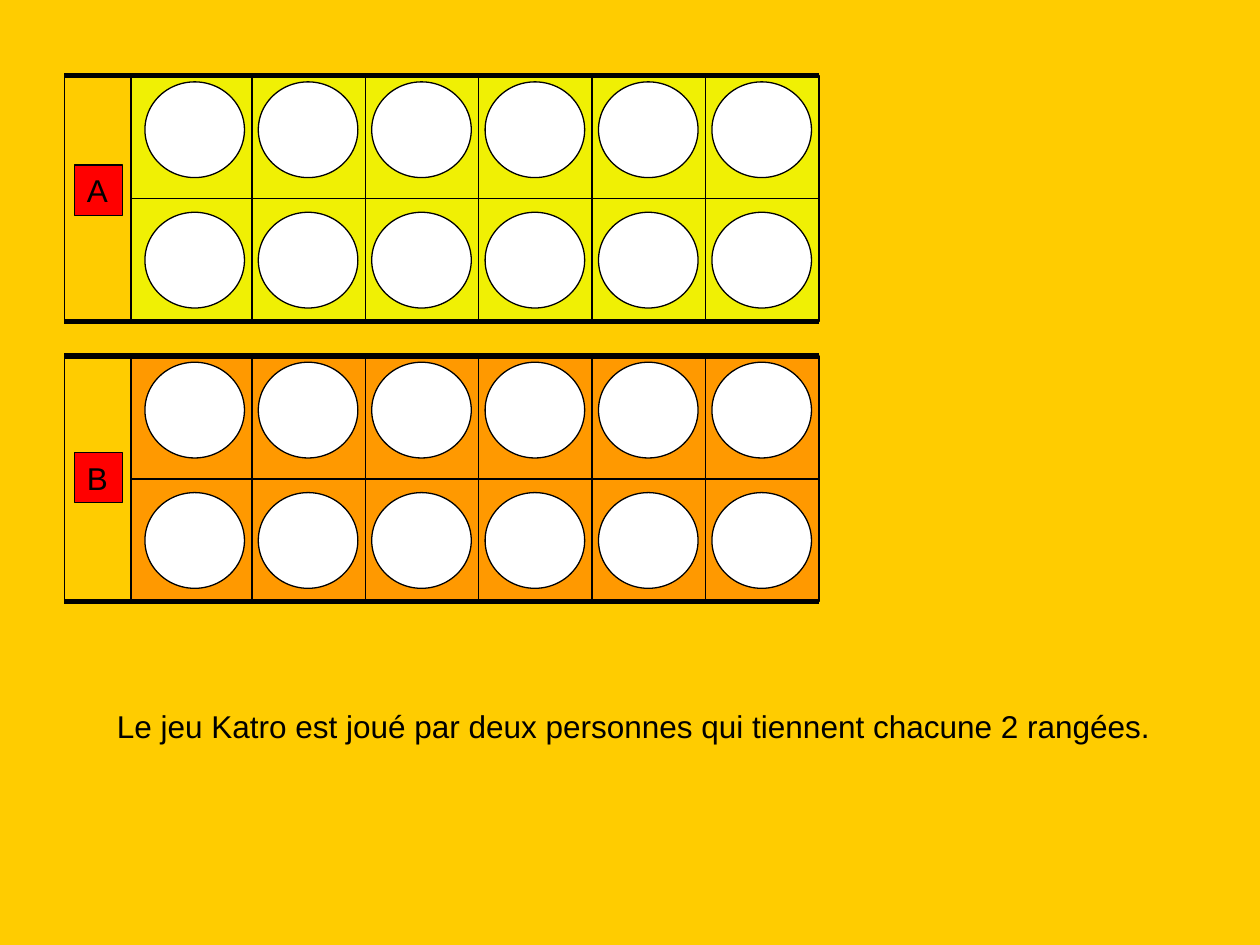
import pptx
import pptx.dml.color
import pptx.enum.shapes
import pptx.enum.text
import pptx.oxml
import pptx.util

COLORS = {
    "background": "FFCC00",
    "yellow": "F0F004",
    "orange": "FF9900",
    "hole": "FFFFFF",
    "badge": "FF0000",
    "ink": "000000",
}
TEXT_FORMAT = {
    "name": "Arial",
    "size": pptx.util.Pt(18),
}
SHAPES = pptx.enum.shapes.MSO_SHAPE
inches = pptx.util.Inches

# Board grid, in inches
board_left, grid_left, board_right = 0.51, 1.04, 6.5
column_count, column_width = 6, 0.9
row_height = 0.975
first_hole_left, hole_width, hole_height = 1.15, 0.79, 0.76
hole_top, hole_row_step = 0.05, 1.035
column_edges = [grid_left] + [
    board_right - column_width * remaining
    for remaining in range(column_count - 1, -1, -1)
]

BOARDS = [
    {"label": "A", "color": "yellow", "top": 0.6, "badge_top": 1.31},
    {"label": "B", "color": "orange", "top": 2.825, "badge_top": 3.59},
]


def add_outlined_shape(shapes, kind, left, top, width, height, color=None):
    """Add a thin-outlined shape, unfilled when no color is named."""
    shape = shapes.add_shape(
        kind, inches(left), inches(top), inches(width), inches(height))
    shape.shadow.inherit = False
    if color:
        shape.fill.solid()
        shape.fill.fore_color.rgb = pptx.dml.color.RGBColor.from_string(COLORS[color])
    else:
        shape.fill.background()
    shape.line.color.rgb = pptx.dml.color.RGBColor.from_string(COLORS["ink"])
    shape.line.width = pptx.util.Pt(0.75)
    return shape


def write_text(shape, text, wrap):
    frame = shape.text_frame
    frame.text = text
    frame.word_wrap = wrap
    frame.auto_size = pptx.enum.text.MSO_AUTO_SIZE.SHAPE_TO_FIT_TEXT
    frame.vertical_anchor = pptx.enum.text.MSO_ANCHOR.TOP
    paragraph = frame.paragraphs[0]
    paragraph.alignment = pptx.enum.text.PP_ALIGN.LEFT
    font = paragraph.runs[0].font
    for attribute, value in TEXT_FORMAT.items():
        setattr(font, attribute, value)
    font.color.rgb = pptx.dml.color.RGBColor.from_string(COLORS["ink"])


presentation = pptx.Presentation()
presentation.slide_width = inches(10)
presentation.slide_height = inches(7.5)
slide = presentation.slides.add_slide(presentation.slide_layouts[6])
slide.background.fill.solid()
slide.background.fill.fore_color.rgb = pptx.dml.color.RGBColor.from_string(
    COLORS["background"])

for board in BOARDS:
    top = board["top"]
    shapes = slide.shapes.add_group_shape().shapes

    # Cells and the player's side panel
    for row in range(2):
        for left, right in zip(column_edges, column_edges[1:]):
            add_outlined_shape(
                shapes, SHAPES.RECTANGLE, left, top + row * row_height,
                right - left, row_height, board["color"])
    add_outlined_shape(shapes, SHAPES.RECTANGLE, board_left, top,
                       grid_left - board_left, 2 * row_height)

    # Thick top and bottom edges, thin middle line
    for row, left, weight in [(0, board_left, 3), (2, board_left, 3), (1, grid_left, 1)]:
        y = inches(top + row * row_height)
        connector = shapes.add_connector(
            pptx.enum.shapes.MSO_CONNECTOR.STRAIGHT,
            inches(left), y, inches(board_right), y)
        connector.line.color.rgb = pptx.dml.color.RGBColor.from_string(COLORS["ink"])
        connector.line.width = pptx.util.Pt(weight)
        connector._element.spPr.append(pptx.oxml.parse_xml(
            '<a:effectLst xmlns:a="http://schemas.openxmlformats.org/drawingml/2006/main"/>'))

    # Holes
    for row in range(2):
        for column in range(column_count):
            add_outlined_shape(
                shapes, SHAPES.OVAL, first_hole_left + column * column_width,
                top + hole_top + row * hole_row_step, hole_width, hole_height, "hole")

caption = slide.shapes.add_textbox(inches(0.83), inches(5.56), inches(8.4), inches(0.4))
write_text(
    caption,
    "Le jeu Katro est joué par deux personnes qui tiennent chacune 2 rangées.",
    wrap=False)

for board in BOARDS:
    badge = add_outlined_shape(
        slide.shapes, SHAPES.RECTANGLE, 0.59, board["badge_top"], 0.38, 0.4, "badge")
    write_text(badge, board["label"], wrap=True)

presentation.save("out.pptx")
